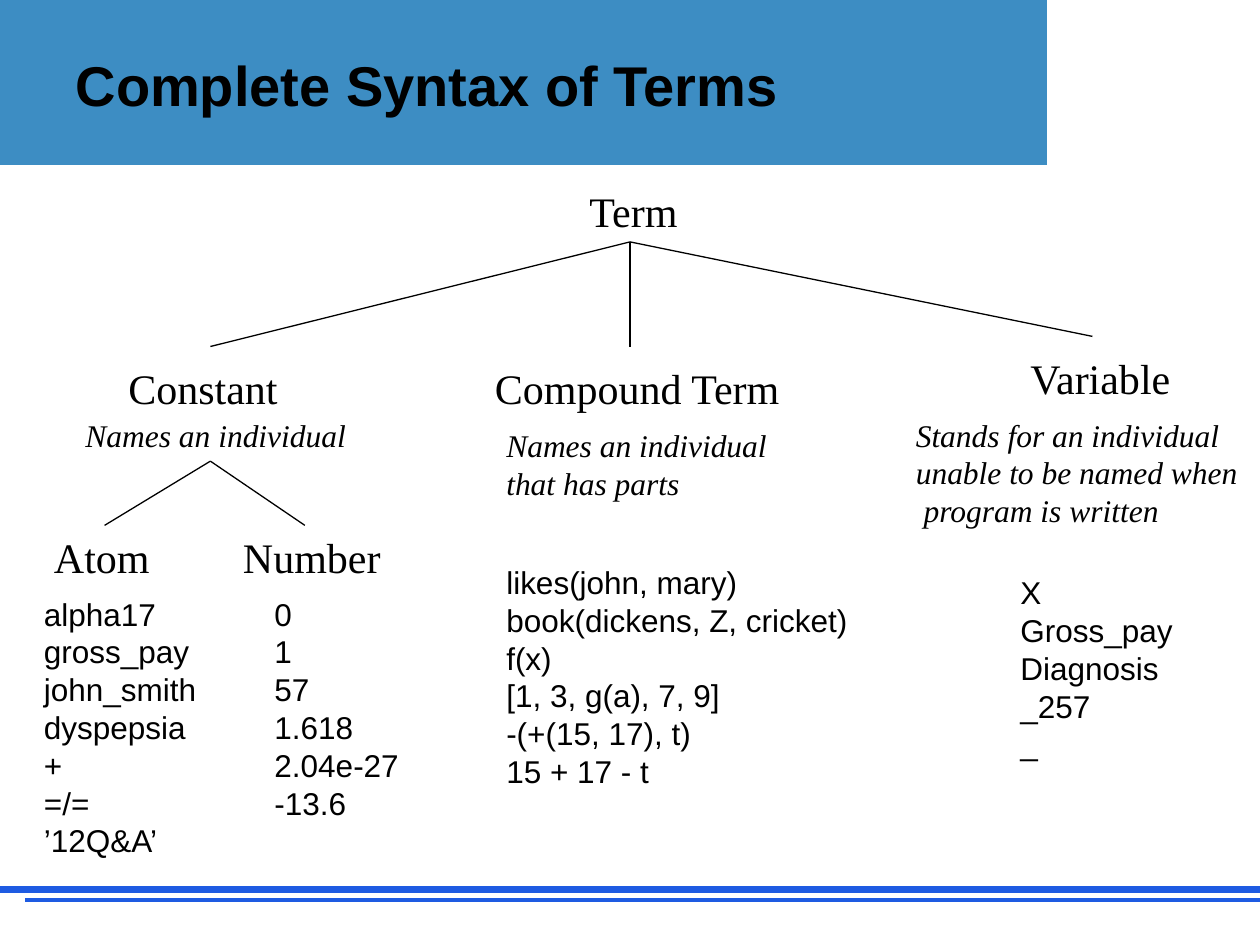
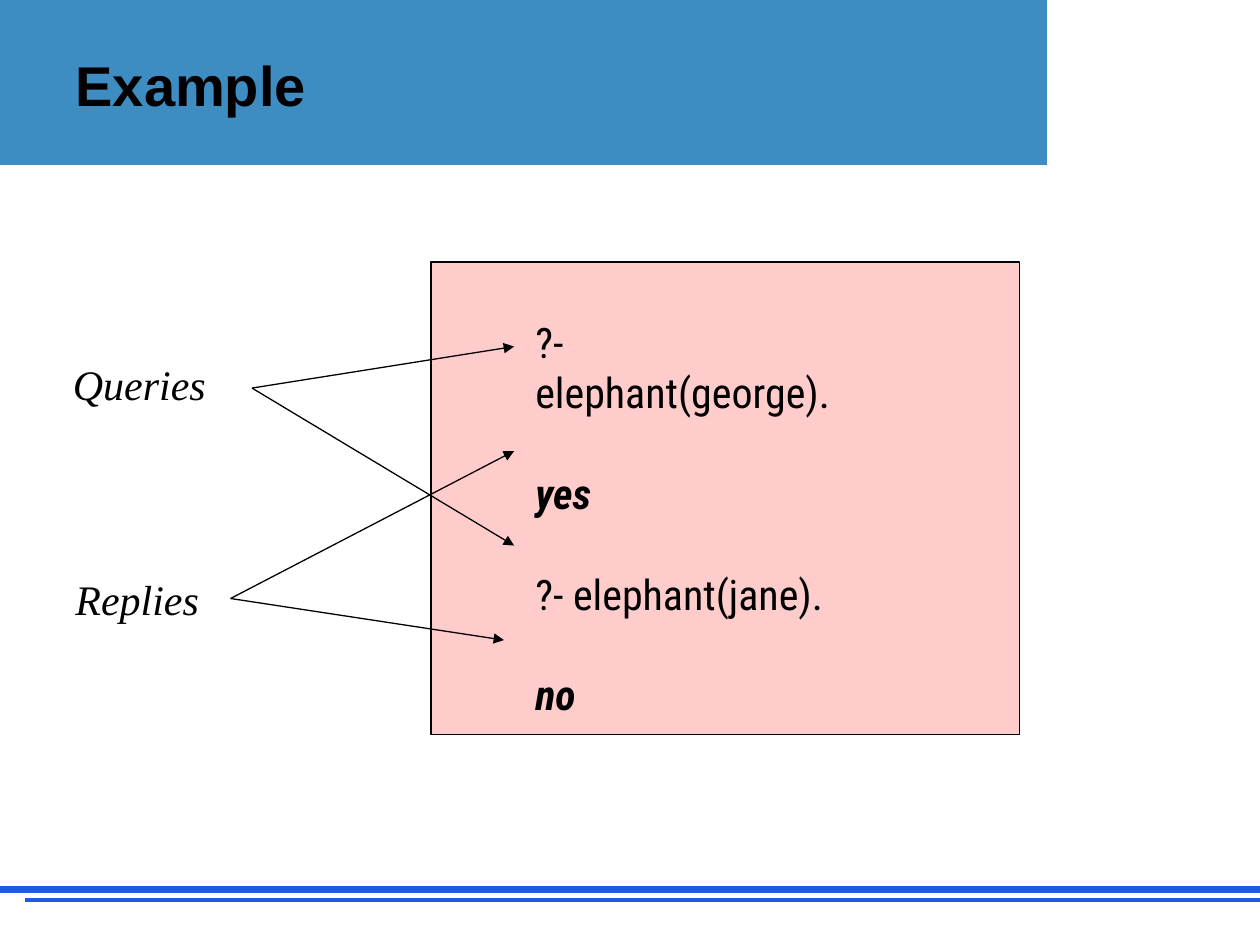
from lxml.etree import SubElement
from pptx import Presentation
from pptx.dml.color import RGBColor
from pptx.enum.shapes import MSO_CONNECTOR, MSO_SHAPE
from pptx.enum.text import MSO_ANCHOR, MSO_AUTO_SIZE, PP_ALIGN
from pptx.oxml.ns import qn
from pptx.util import Inches, Pt

BLACK = RGBColor(0x00, 0x00, 0x00)
WHITE = RGBColor(0xFF, 0xFF, 0xFF)
BAND = RGBColor(0x3D, 0x8D, 0xC3)
RULE = RGBColor(0x1E, 0x5B, 0xE2)
PINK = RGBColor(0xFF, 0xCC, 0xCC)
SANS, SERIF, CODE = "Arial", "Times New Roman", "Roboto Condensed"


def add_line(s, start, end, color=BLACK, width=0.75, arrow=False):
    """Draw a straight line between two points, with an arrowhead if asked."""
    points = [Inches(v) for v in (*start, *end)]
    line = s.shapes.add_connector(MSO_CONNECTOR.STRAIGHT, *points)
    line.line.color.rgb = color
    line.line.width = Pt(width)
    if arrow:
        SubElement(line.line._get_or_add_ln(), qn("a:tailEnd"), type="triangle")
    SubElement(line._element.spPr, qn("a:effectLst"))


def add_text(s, box, lines, size, font, italic=False, wrap=False):
    """Add a text box with one paragraph per line and return its text frame."""
    tf = s.shapes.add_textbox(*[Inches(v) for v in box]).text_frame
    tf.word_wrap = wrap
    tf.auto_size = MSO_AUTO_SIZE.SHAPE_TO_FIT_TEXT
    for i, line in enumerate(lines):
        p = tf.paragraphs[0] if i == 0 else tf.add_paragraph()
        r = p.add_run()
        r.text = line
        r.font.name = font
        r.font.size = Pt(size)
        r.font.italic = italic
        r.font.color.rgb = BLACK
    return tf


prs = Presentation()
prs.slide_width, prs.slide_height = Inches(10), Inches(7.5)

# Shared frame: top band with a white corner, two bottom rules, title
slides = []
for heading in ("Complete Syntax of Terms", "Example"):
    s = prs.slides.add_slide(prs.slide_layouts[5])
    for left, width, height, color in ((0, 10, 1.31, BAND), (8.31, 1.69, 1.39, WHITE)):
        sp = s.shapes.add_shape(MSO_SHAPE.RECTANGLE, Inches(left), 0,
                                Inches(width), Inches(height))
        sp.shadow.inherit = False
        sp.fill.solid()
        sp.fill.fore_color.rgb = color
        sp.line.fill.background()
    add_line(s, (0, 7.06), (10, 7.06), RULE, 4.5)
    add_line(s, (0.2, 7.14), (10, 7.14), RULE, 2.25)

    title = s.shapes.title
    title.left, title.top = Inches(0.5), Inches(0.13)
    title.width, title.height = Inches(6.86), Inches(1.08)
    s.shapes._spTree.append(title._element)  # bring in front of the band
    tf = title.text_frame
    tf.vertical_anchor = MSO_ANCHOR.MIDDLE
    tf.auto_size = MSO_AUTO_SIZE.NONE
    p = tf.paragraphs[0]
    p.alignment = PP_ALIGN.LEFT
    r = p.add_run()
    r.text = heading
    r.font.name, r.font.size, r.font.bold = SANS, Pt(32), True
    r.font.color.rgb = BLACK
    slides.append(s)

terms, example = slides

# Slide 1: tree of terms
nodes = [
    ("Term", 4.58, 1.42, 0.92),
    ("Constant", 0.92, 2.83, 1.39),
    ("Compound Term", 3.83, 2.83, 2.49),
    ("Variable", 8.08, 2.75, 1.35),
    ("Atom", 0.33, 4.17, 0.96),
    ("Number", 1.83, 4.17, 1.29),
]
for name, left, top, width in nodes:
    add_text(terms, (left, top, width, 0.5), [name], 24, SERIF)

branches = {
    (5, 1.92): [(1.67, 2.75), (5, 2.75), (8.67, 2.67)],
    (1.67, 3.66): [(0.83, 4.17), (2.42, 4.17)],
}
for parent, children in branches.items():
    for child in children:
        add_line(terms, parent, child)

meanings = [
    ((0.58, 3.25, 2.27, 0.4), ["Names an individual"]),
    ((3.92, 3.33, 2.27, 0.7), ["Names an individual", "that has parts"]),
    ((7.17, 3.25, 2.76, 1), ["Stands for an individual", "unable to be named when",
                             " program is written"]),
]
for box, lines in meanings:
    add_text(terms, box, lines, 18, SERIF, italic=True)

samples = [
    ((0.25, 4.67, 1.41, 2.2), ["alpha17", "gross_pay", "john_smith", "dyspepsia",
                               "+", "=/=", "’12Q&A’"]),
    ((2.08, 4.67, 1.19, 1.9), ["0", "1", "57", "1.618", "2.04e-27", "-13.6"]),
    ((3.92, 4.42, 3.17, 1.9), ["likes(john, mary)", "book(dickens, Z, cricket)", "f(x)",
                               "[1, 3, g(a), 7, 9]", "-(+(15, 17), t)", "15 + 17 - t"]),
    ((8, 4.5, 1.41, 1.6), ["X", "Gross_pay", "Diagnosis", "_257", "_"]),
]
for box, lines in samples:
    add_text(terms, box, lines, 18, SANS)

# Slide 2: session panel with queries and replies
panel = example.shapes.add_shape(MSO_SHAPE.RECTANGLE, Inches(3.42), Inches(2.08),
                                 Inches(4.67), Inches(3.75))
panel.shadow.inherit = False
panel.fill.solid()
panel.fill.fore_color.rgb = PINK
panel.line.color.rgb = BLACK
panel.line.width = Pt(0.75)

session = ["?- elephant(george).", "yes", "?- elephant(jane).", "no"]
tf = add_text(example, (4.15, 2.46, 2.69, 2.9), session, 24, CODE, wrap=True)
for p in tf.paragraphs[1:]:
    p.space_before = Pt(28.8)
for p in tf.paragraphs[1::2]:
    p.runs[0].font.bold = p.runs[0].font.italic = True

labels = [
    ("Queries", (0.48, 2.8, 1.26, 0.5), (2, 3.08), [(4.08, 2.75), (4.08, 4.33)]),
    ("Replies", (0.5, 4.5, 1.18, 0.5), (1.83, 4.75), [(4.08, 3.58), (4, 5.08)]),
]
for name, box, start, targets in labels:
    add_text(example, box, [name], 24, SERIF, italic=True)
    for target in targets:
        add_line(example, start, target, arrow=True)

prs.save("out.pptx")
